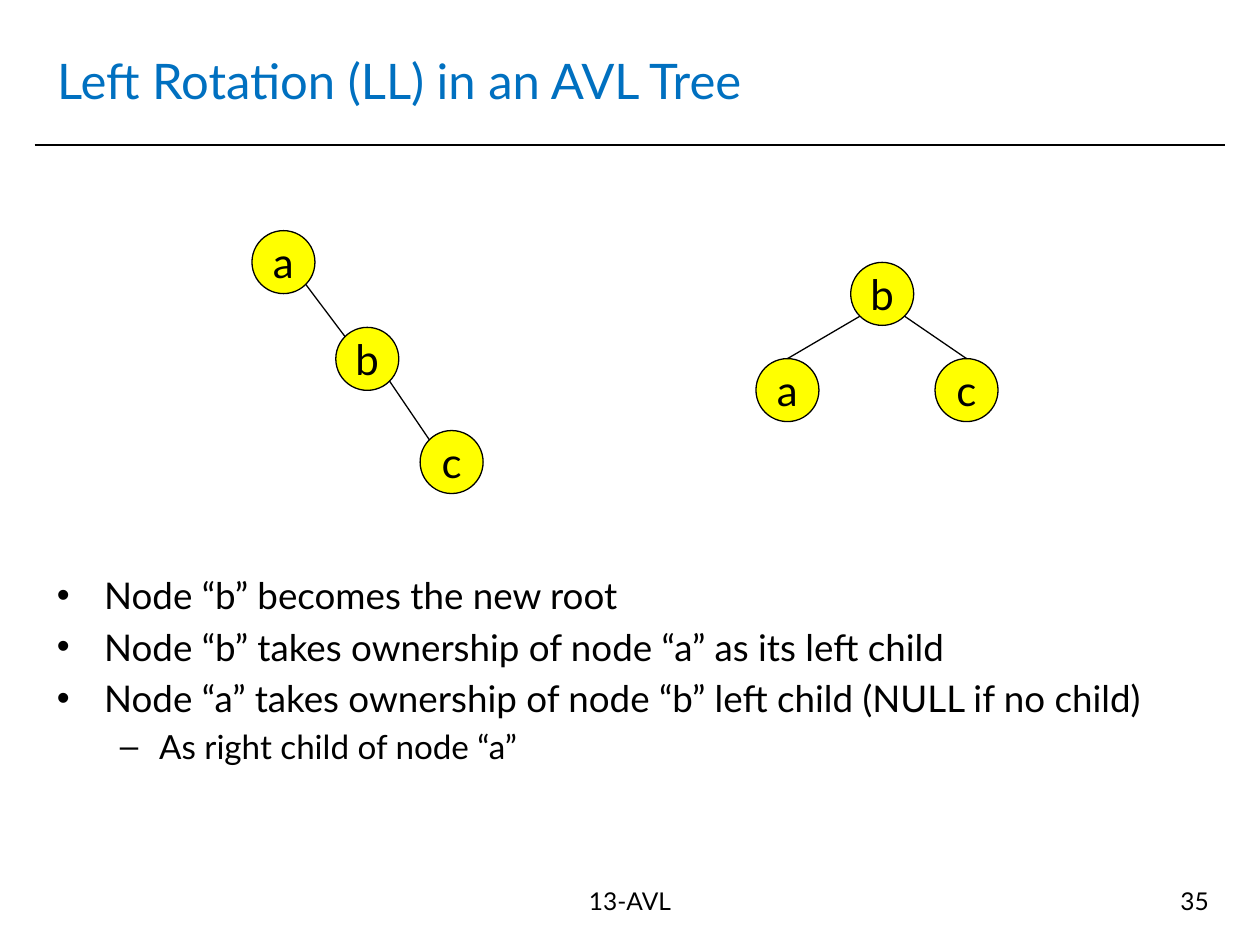
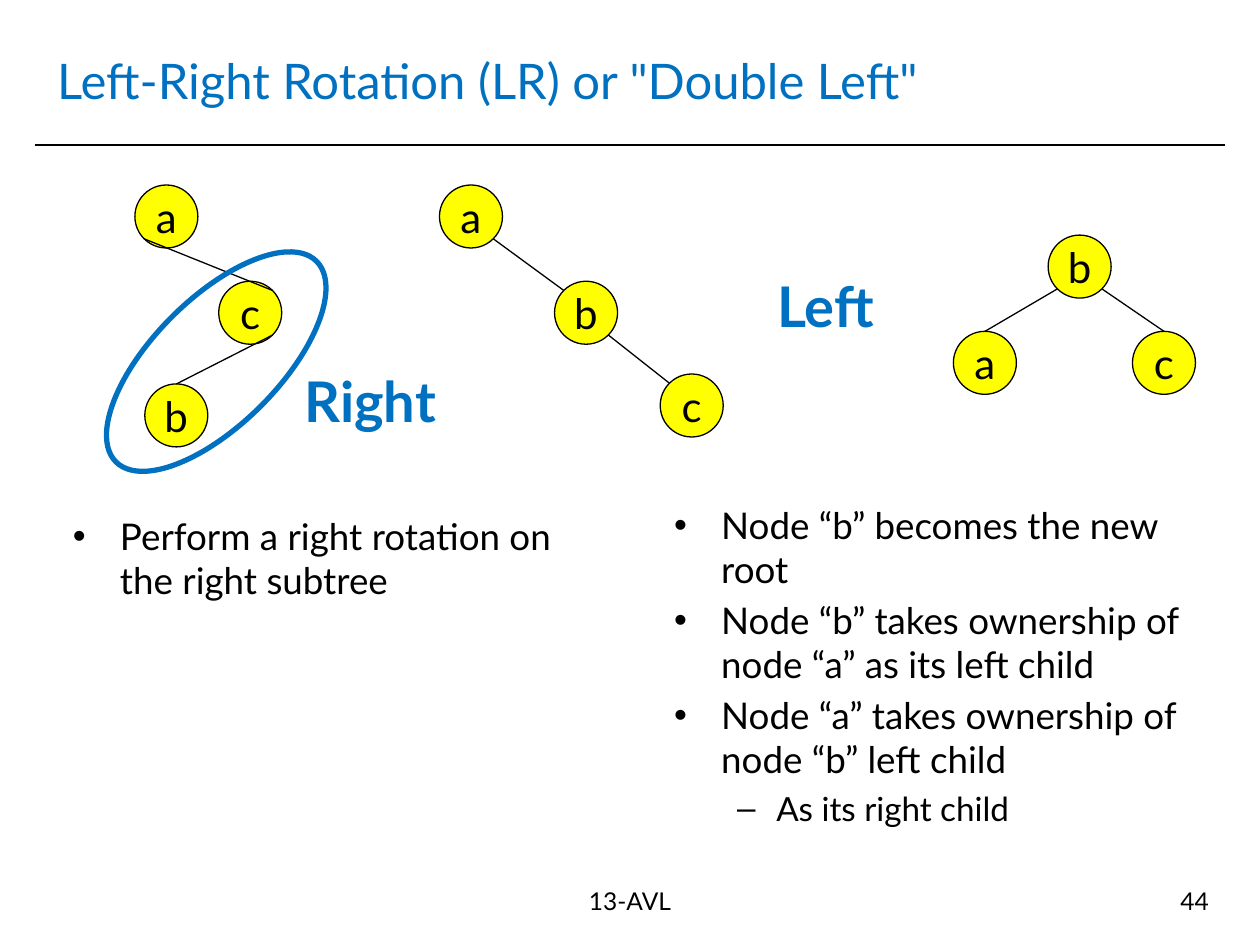
from math import sqrt

from lxml.etree import SubElement
from pptx import Presentation
from pptx.dml.color import RGBColor
from pptx.enum.shapes import MSO_CONNECTOR, MSO_SHAPE
from pptx.enum.text import MSO_ANCHOR, MSO_AUTO_SIZE, PP_ALIGN
from pptx.oxml.ns import qn
from pptx.util import Cm, Pt

COLORS = {"accent": "0070C0", "ink": "000000", "node": "FFFF00"}
FONT = "Lato"
NODE = 1.27
DIAGONAL = sqrt(0.5)
SITES = {
    "top": (0, -1),
    "top_left": (-DIAGONAL, -DIAGONAL),
    "top_right": (DIAGONAL, -DIAGONAL),
    "bottom_left": (-DIAGONAL, DIAGONAL),
    "bottom_right": (DIAGONAL, DIAGONAL),
}
BULLETS = [
    {"char": "•", "left": 0.95, "hang": 0.95, "size": 21},
    {"char": "–", "left": 2.06, "hang": 0.79, "size": 19},
]
TITLE = {"size": 28, "color": "accent"}
FOOTER = {"size": 14}
NODE_LABEL = {"size": 24}
ROTATION_LABEL = {"size": 32, "color": "accent", "bold": True}


def rgb(name):
    return RGBColor.from_string(COLORS[name])


def set_attrs(obj, values):
    for name, value in values.items():
        setattr(obj, name, value)


def format_font(font, size, color="ink", bold=False):
    set_attrs(font, {"name": FONT, "size": Pt(size), "bold": bold})
    font.color.rgb = rgb(color)


def place(sp, x, y, w, h):
    set_attrs(sp, {"left": Cm(x), "top": Cm(y), "width": Cm(w), "height": Cm(h)})


def write(tf, text, style, align=PP_ALIGN.LEFT, anchor=MSO_ANCHOR.TOP, wrap=True):
    set_attrs(tf, {"auto_size": MSO_AUTO_SIZE.NONE, "word_wrap": wrap,
                   "vertical_anchor": anchor})
    p = tf.paragraphs[0]
    p.alignment = align
    r = p.add_run()
    r.text = text
    format_font(r.font, **style)


def add_text(s, box, text, style, **layout):
    sp = s.shapes.add_textbox(*map(Cm, box))
    write(sp.text_frame, text, style, **layout)


def add_line(s, start, end, width=0.75):
    ln = s.shapes.add_connector(MSO_CONNECTOR.STRAIGHT, *map(Cm, start + end))
    ln.line.color.rgb = rgb("ink")
    ln.line.width = Pt(width)
    SubElement(ln._element.spPr, qn("a:effectLst"))


def add_ellipse(s, box, line, width, fill=None):
    sp = s.shapes.add_shape(MSO_SHAPE.OVAL, *map(Cm, box))
    sp.shadow.inherit = False
    if fill:
        sp.fill.solid()
        sp.fill.fore_color.rgb = rgb(fill)
    else:
        sp.fill.background()
    sp.line.color.rgb = rgb(line)
    sp.line.width = Pt(width)
    return sp


def site(corner, name):
    return tuple(c + NODE / 2 * (1 + d) for c, d in zip(corner, SITES[name]))


def add_tree(s, nodes, edges):
    for label, corner in nodes.items():
        sp = add_ellipse(s, (*corner, NODE, NODE), "ink", 0.75, "node")
        write(sp.text_frame, label, NODE_LABEL, align=PP_ALIGN.CENTER,
              anchor=MSO_ANCHOR.MIDDLE, wrap=False)
    for parent, parent_site, child, child_site in edges:
        add_line(s, site(nodes[parent], parent_site), site(nodes[child], child_site))


def add_right_chain(s, nodes):
    add_tree(s, nodes, [("a", "bottom_right", "b", "top_left"),
                        ("b", "bottom_right", "c", "top_left")])


def add_balanced_tree(s, x, y):
    nodes = {"b": (x, y), "a": (x - 1.91, y + 1.94), "c": (x + 1.7, y + 1.94)}
    add_tree(s, nodes, [("b", "bottom_left", "a", "top"),
                        ("b", "bottom_right", "c", "top")])


def add_bullets(s, box, items):
    tf = s.shapes.add_textbox(*map(Cm, box)).text_frame
    tf.word_wrap = True
    for i, (level, text) in enumerate(items):
        bullet = BULLETS[level]
        p = tf.add_paragraph() if i else tf.paragraphs[0]
        set_attrs(p, {"text": text, "level": level, "space_before": Pt(4 if i else 0)})
        pPr = p._p.get_or_add_pPr()
        pPr.set("marL", str(Cm(bullet["left"])))
        pPr.set("indent", str(-Cm(bullet["hang"])))
        SubElement(pPr, qn("a:buFont")).set("typeface", "Arial")
        SubElement(pPr, qn("a:buChar")).set("char", bullet["char"])
        format_font(p.runs[0].font, bullet["size"])


def add_slide(prs, title, number):
    s = prs.slides.add_slide(prs.slide_layouts.get_by_name("Title Only"))
    add_line(s, (0.7, 2.92), (24.7, 2.92), 1)
    place(s.shapes.title, 0.9, 0.53, 23.6, 2.16)
    write(s.shapes.title.text_frame, title, TITLE, anchor=MSO_ANCHOR.MIDDLE)
    add_text(s, (8.5, 17.73, 8.4, 1.32), "13-AVL", FOOTER, align=PP_ALIGN.CENTER)
    add_text(s, (18.7, 17.73, 5.92, 1.32), number, FOOTER, align=PP_ALIGN.RIGHT)
    return s


def add_left_rotation(prs):
    s = add_slide(prs, "Left Rotation (LL) in an AVL Tree", "35")
    add_balanced_tree(s, 17.15, 5.29)
    add_right_chain(s, {"a": (5.08, 4.65), "b": (6.77, 6.6), "c": (8.47, 8.68)})
    add_bullets(s, (0.9, 11.43, 23.6, 5.89), [
        (0, "Node “b” becomes the new root"),
        (0, "Node “b” takes ownership of node “a” as its left child"),
        (0, "Node “a” takes ownership of node “b” left child (NULL if no child)"),
        (1, "As right child of node “a”"),
    ])


def add_left_right_rotation(prs):
    s = add_slide(prs, 'Left-Right Rotation (LR) or "Double Left"', "44")
    add_tree(s, {"a": (2.72, 3.73), "b": (2.92, 7.74), "c": (4.41, 5.67)},
             [("a", "bottom_left", "c", "top_right"),
              ("c", "bottom_right", "b", "top")])
    subtree_ring = add_ellipse(s, (1.5, 6.02, 5.72, 2.54), "accent", 3)
    subtree_ring.rotation = 315
    add_right_chain(s, {"a": (8.86, 3.73), "b": (11.18, 5.67), "c": (13.31, 7.54)})
    add_balanced_tree(s, 21.13, 4.74)
    for text, x, y in (("Right", 5.89, 7.11), ("Left", 15.42, 5.21)):
        add_text(s, (x, y, 5.5, 1.9), text, ROTATION_LABEL, anchor=MSO_ANCHOR.MIDDLE)
    add_bullets(s, (1.22, 10.24, 11.23, 2.74),
                [(0, "Perform a right rotation on the right subtree")])
    add_bullets(s, (13.34, 10.01, 11.23, 7.29), [
        (0, "Node “b” becomes the new root"),
        (0, "Node “b” takes ownership of node “a” as its left child"),
        (0, "Node “a” takes ownership of node “b” left child"),
        (1, "As its right child"),
    ])


def main():
    prs = Presentation()
    set_attrs(prs, {"slide_width": Cm(25.4), "slide_height": Cm(19.05)})
    add_left_rotation(prs)
    add_left_right_rotation(prs)
    prs.save("out.pptx")


if __name__ == "__main__":
    main()
